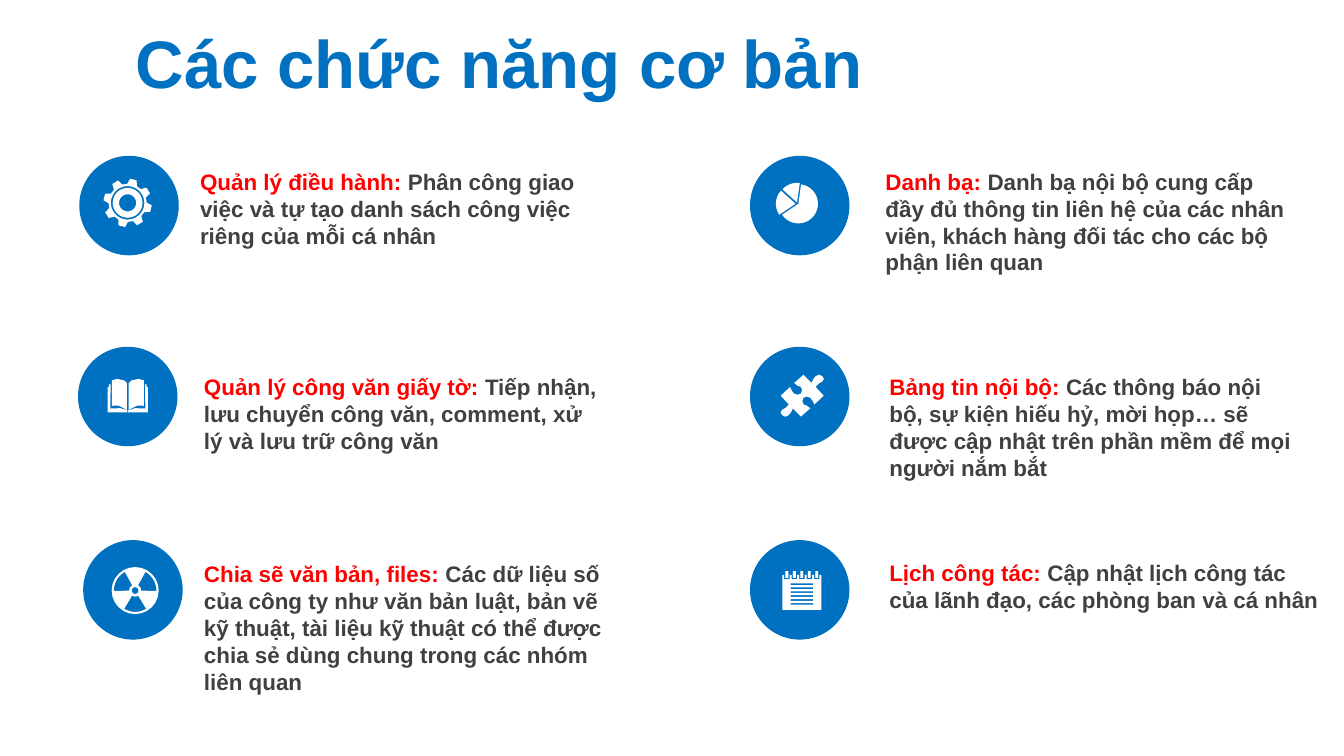
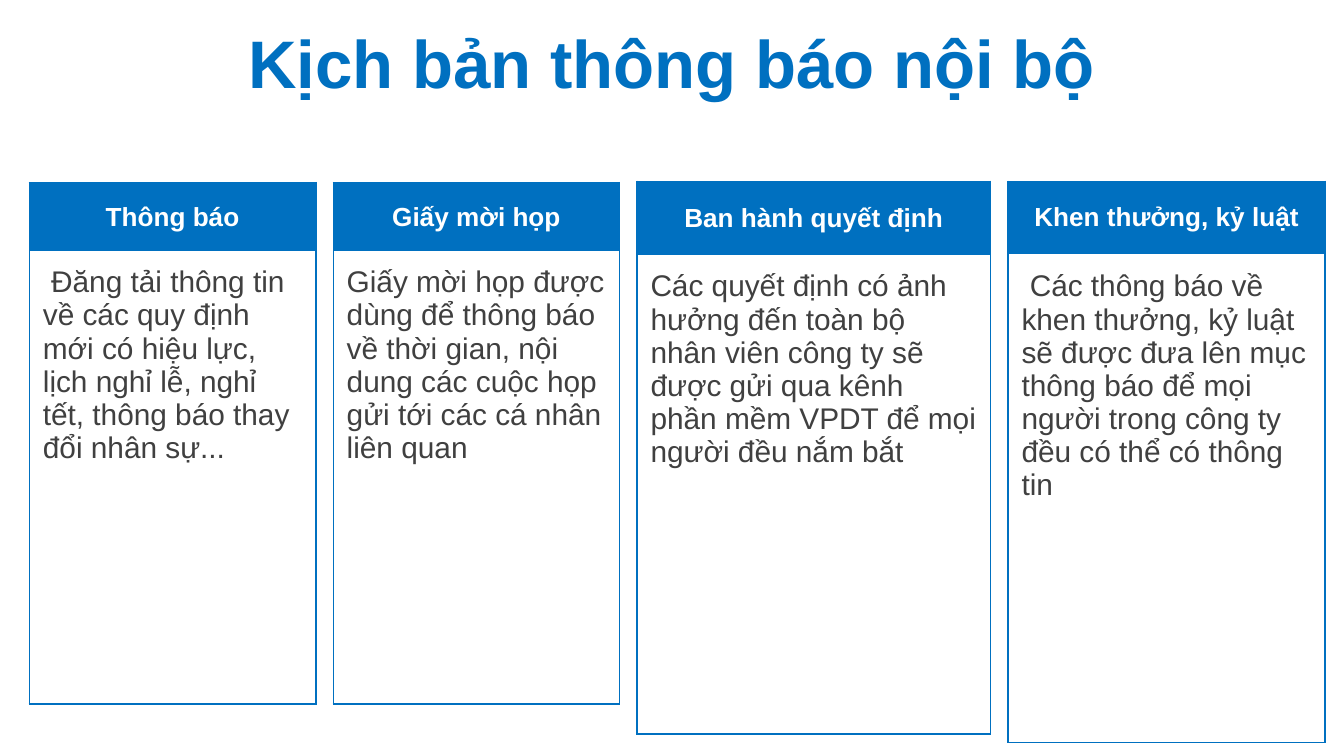
"""Build two slides: the basic functions and the internal notice scenarios."""
from dataclasses import dataclass
from math import cos, radians, sin

from lxml import etree
from pptx import Presentation
from pptx.dml.color import RGBColor
from pptx.enum import shapes, text
from pptx.oxml import ns
from pptx.util import Pt

WIDTH, HEIGHT = 720, 405
BLUE, RED, GREY, WHITE = "0070C0", "FF0000", "404040", "FFFFFF"
FONT = "Arial"
TITLE = dict(size=Pt(36), bold=True, color=BLUE)
LABEL = dict(size=Pt(12), bold=True, color=RED)
DETAIL = dict(size=Pt(12), bold=True, color=GREY)
HEADER = dict(size=Pt(14), bold=True, color=WHITE)
CONTENT = dict(size=Pt(16), bold=False, color=GREY)
DISC = 53.3
DISC_TOPS = (83.5, 185.8, 289.4)
BOARD_LEFT, BOARD_GAP = 15.8, 9.35

Point = tuple[float, float]
Contour = list[Point]


@dataclass
class Feature:
    """A disc with an icon, and the text beside it."""
    row: int
    disc_left: float
    box: tuple[float, float, float, float]
    label: str
    detail: str
    icon: list[Contour]
    icon_center: Point


@dataclass
class Board:
    """A one-column table: a header, a content row and empty rows."""
    top: float
    width: float
    height: float
    rows: tuple[float, ...]
    header: str
    content: str


def rgb(value: str) -> RGBColor:
    """Turn a hex string into a colour."""
    return RGBColor.from_string(value)


def apply(target, values: dict) -> None:
    """Set each named attribute of the target."""
    for name, value in values.items():
        setattr(target, name, value)


def add_run(p, words: str, style: dict) -> None:
    """Add a run and apply its format values."""
    r = p.add_run()
    r.text = words
    values = dict(style, name=FONT)
    r.font.color.rgb = rgb(values.pop("color"))
    apply(r.font, values)


def add_text(s, box: tuple, runs: list[tuple[str, dict]], frame: dict, para: dict) -> None:
    """Add a text box with one paragraph."""
    tf = s.shapes.add_textbox(*map(Pt, box)).text_frame
    p = tf.paragraphs[0]
    apply(tf, dict(frame, word_wrap=True))
    apply(p, para)
    for words, style in runs:
        add_run(p, words, style)


def add_title(s, left: float, words: str, align) -> None:
    """Add the slide title, running to the right edge."""
    frame = dict(vertical_anchor=text.MSO_ANCHOR.MIDDLE, margin_top=0, margin_bottom=0)
    para = dict(alignment=align, space_before=Pt(4))
    add_text(s, (left, 10.1, WIDTH - left, 45.4), [(words, TITLE)], frame, para)


def paint(sp, color: str) -> None:
    """Give a shape a plain fill without line or shadow."""
    sp.shadow.inherit = False
    sp.fill.solid()
    sp.fill.fore_color.rgb = rgb(color)
    sp.line.fill.background()


def polar(r: float, angle: float) -> Point:
    """Return the point at a radius and an angle in degrees."""
    return r * cos(radians(angle)), r * sin(radians(angle))


def move(contour: Contour, dx: float, dy: float) -> Contour:
    """Return the contour shifted by an offset."""
    return [(x + dx, y + dy) for x, y in contour]


def arc(r: float, start: float, end: float, steps: int = 24) -> Contour:
    """Return points along an arc around the origin."""
    return [polar(r, start + (end - start) * i / steps) for i in range(steps + 1)]


def circle(r: float) -> Contour:
    """Return a full circle around the origin."""
    return arc(r, 0, 360)


def rect(x: float, y: float, w: float, h: float) -> Contour:
    """Return a rectangle."""
    return [(x, y), (x + w, y), (x + w, y + h), (x, y + h)]


def gear() -> list[Contour]:
    """Return a gear with eight teeth and a ring."""
    root, tip, teeth = 10.2, 13, 8
    tooth = ((root, -15), (tip, -8), (tip, 8), (root, 15))
    outline = [polar(r, k * 360 / teeth - 76 + turn) for k in range(teeth) for r, turn in tooth]
    return [outline, circle(9), circle(8), circle(4.6)]


def pie() -> list[Contour]:
    """Return a pie of three slices, each with its own apex."""
    slices = ((0.7, 0.7, -82, 146), (0, 0, -138, -82), (-0.8, 0.7, 146, 222))
    return [move([(0, 0)] + arc(10.5, start, end), dx, dy) for dx, dy, start, end in slices]


def trefoil() -> list[Contour]:
    """Return a disc with three blades cut out of it."""
    inner, outer, half = 3.2, 11.4, 31
    blades = [arc(outer, mid - half, mid + half) + arc(inner, mid + half, mid - half)
              for mid in (90, 210, 330)]
    return [circle(12.6), circle(1.8)] + blades


def book() -> list[Contour]:
    """Return an open book whose left half mirrors the right."""
    page = [(0.5, -6.8), (2, -8.2), (5.8, -9), (8.6, -8.2), (8.6, 5.4), (5, 5.3), (0.5, 7.6)]
    cover = [(9.2, -6), (10.1, -6), (10.1, -4.6), (10.8, -4.6), (10.8, 9),
             (0.2, 9), (0.2, 7.9), (4, 6.7), (9.4, 6.9)]
    return [[(side * x, y) for x, y in part] for side in (-1, 1) for part in (page, cover)]


def puzzle() -> list[Contour]:
    """Return a puzzle piece: a half outline, then the same half turned around."""
    corner = [(11.5, 0), (6.5, 4.7)]
    socket = [(5.4, 2.4), (4.3, 1.1), (2.5, 0.5), (0.7, 1.1), (0.1, 2.9), (0.7, 4.7), (2.6, 5.4)]
    edge = [(4.3, 6.8), (-0.7, 11.2), (-5, 6.8)]
    knob = [(-5.9, 8.8), (-7.2, 10.4), (-9, 11.3), (-10.8, 10.4), (-11.6, 9),
            (-10.8, 7.6), (-9, 6.6), (-7.2, 4.7)]
    half = corner + socket + edge + knob
    return [half + [(-x, -y) for x, y in half]]


def notepad() -> list[Contour]:
    """Return a ruled pad with five rings."""
    rules = [rect(-6, -3.8 + 2.1 * i, 12, 0.9) for i in range(6)]
    ring_centers = [4 * i for i in range(-2, 3)]
    notches = [rect(x - 1.45, -8.4, 2.9, 2.3) for x in ring_centers]
    rings = [rect(x - 0.75, -10.4, 1.5, 3.6) for x in ring_centers]
    return [rect(-10.4, -8.4, 20.8, 18.8)] + rules + notches + rings


def add_icon(s, contours: list[Contour], center: Point) -> None:
    """Draw contours as one white freeform around a center."""
    placed = [[(Pt(x), Pt(y)) for x, y in move(c, *center)] for c in contours]
    builder = s.shapes.build_freeform(*placed[0][0], scale=1.0)
    for start, *others in placed:
        if start != placed[0][0]:
            builder.move_to(*start)
        builder.add_line_segments(others, close=True)
    paint(builder.convert_to_shape(), WHITE)


def add_feature(s, f: Feature) -> None:
    """Draw a disc, its text and its icon."""
    box = (f.disc_left, DISC_TOPS[f.row], DISC, DISC)
    paint(s.shapes.add_shape(shapes.MSO_SHAPE.OVAL, *map(Pt, box)), BLUE)
    runs = [(f.label + " ", LABEL), (f.detail, DETAIL)]
    add_text(s, f.box, runs, dict(auto_size=text.MSO_AUTO_SIZE.SHAPE_TO_FIT_TEXT), {})
    add_icon(s, f.icon, f.icon_center)


def add_borders(cell, visible: str) -> None:
    """Draw blue borders on the visible sides and none on the others."""
    for side in "LRTB":
        ln = etree.SubElement(cell._tc.get_or_add_tcPr(), ns.qn(f"a:ln{side}"), w=str(Pt(1)))
        if side in visible:
            fill = etree.SubElement(ln, ns.qn("a:solidFill"))
            etree.SubElement(fill, ns.qn("a:srgbClr"), val=BLUE)
        else:
            etree.SubElement(ln, ns.qn("a:noFill"))


def size_empty(p, points: int) -> None:
    """Set the font and size of an empty paragraph."""
    end = etree.SubElement(p._p, ns.qn("a:endParaRPr"), sz=str(points * 100))
    etree.SubElement(end, ns.qn("a:latin"), typeface=FONT)


def add_board(s, left: float, b: Board) -> None:
    """Draw one board as a table."""
    box = (left, b.top, b.width, b.height)
    frame = s.shapes.add_table(len(b.rows), 1, *map(Pt, box))
    table = frame.table
    apply(table, dict(first_row=False, horz_banding=False))
    sides = ["LRT"] + ["LR"] * (len(b.rows) - 2) + ["LRB"]
    for i, (height, visible) in enumerate(zip(b.rows, sides)):
        table.rows[i].height = Pt(height)
        cell = table.cell(i, 0)
        cell.vertical_anchor = text.MSO_ANCHOR.MIDDLE
        add_borders(cell, visible)
        cell.fill.background()
        p = cell.text_frame.paragraphs[0]
        if i == 0:
            cell.fill.solid()
            cell.fill.fore_color.rgb = rgb(BLUE)
            p.alignment = text.PP_ALIGN.CENTER
            add_run(p, b.header, HEADER)
        elif i == 1:
            add_run(p, b.content, CONTENT)
        else:
            size_empty(p, 14)
    frame.height = Pt(b.height)


FEATURES = [
    Feature(0, 42.5, (100.1, 86.4, 231.8, 51.1), "Quản lý điều hành:",
            "Phân công giao việc và tự tạo danh sách công việc riêng của mỗi cá nhân",
            gear(), (68.4, 108.7)),
    Feature(0, 401.8, (467.3, 86.4, 233.3, 65.5), "Danh bạ:",
            "Danh bạ nội bộ cung cấp đầy đủ thông tin liên hệ của các nhân viên, "
            "khách hàng đối tác cho các bộ phận liên quan", pie(), (427, 108.5)),
    Feature(1, 41.8, (102.2, 196.6, 229.7, 51.1), "Quản lý công văn giấy tờ:",
            "Tiếp nhận, lưu chuyển công văn, comment, xử lý và lưu trữ công văn",
            book(), (68.5, 212)),
    Feature(1, 401.8, (469.4, 196.6, 231.1, 65.5), "Bảng tin nội bộ:",
            "Các thông báo nội bộ, sự kiện hiếu hỷ, mời họp… sẽ được cập nhật "
            "trên phần mềm để mọi người nắm bắt", puzzle(), (429.8, 212)),
    Feature(2, 44.6, (102.2, 296.6, 229.7, 79.9), "Chia sẽ văn bản, files:",
            "Các dữ liệu số của công ty như văn bản luật, bản vẽ kỹ thuật, tài liệu "
            "kỹ thuật có thể được chia sẻ dùng chung trong các nhóm liên quan",
            trefoil(), (72.4, 316.4)),
    Feature(2, 401.8, (469.4, 295.9, 247, 51.1), "Lịch công tác:",
            "Cập nhật lịch công tác của lãnh đạo, các phòng ban và cá nhân",
            notepad(), (429.6, 316.4)),
]

NARROW_ROWS = (36.7, 69.8, 15.1, 12.2, 12.2, 12.2, 13)
BOARDS = [
    Board(97.9, 153.4, 267.1, NARROW_ROWS, "Thông báo",
          " Đăng tải thông tin về các quy định mới có hiệu lực, lịch nghỉ lễ, "
          "nghỉ tết, thông báo thay đổi nhân sự..."),
    Board(97.9, 153.4, 267.1, NARROW_ROWS, "Giấy mời họp",
          "Giấy mời họp được dùng để thông báo về thời gian, nội dung các cuộc họp "
          "gửi tới các cá nhân liên quan"),
    Board(97.2, 189.4, 285, (39.6, 110.9, 28.1, 23, 23, 23, 33.8), "Ban hành quyết định",
          "Các quyết định có ảnh hưởng đến toàn bộ nhân viên công ty sẽ được gửi "
          "qua kênh phần mềm VPDT để mọi người đều nắm bắt"),
    Board(97.2, 169.9, 287.3, (38.9, 76.3, 14.4, 11.5, 11.5, 11.5, 12.2),
          "Khen thưởng, kỷ luật",
          " Các thông báo về khen thưởng, kỷ luật sẽ được đưa lên mục thông báo "
          "để mọi người trong công ty đều có thể có thông tin"),
]


def main() -> None:
    """Build and save the presentation."""
    prs = Presentation()
    prs.slide_width, prs.slide_height = Pt(WIDTH), Pt(HEIGHT)
    blank = prs.slide_layouts[6]
    s = prs.slides.add_slide(blank)
    add_title(s, 65.5, "Các chức năng cơ bản", text.PP_ALIGN.LEFT)
    for feature in FEATURES:
        add_feature(s, feature)
    s = prs.slides.add_slide(blank)
    add_title(s, 0, "Kịch bản thông báo nội bộ", text.PP_ALIGN.CENTER)
    left = BOARD_LEFT
    for board in BOARDS:
        add_board(s, left, board)
        left += board.width + BOARD_GAP
    prs.save("out.pptx")


if __name__ == "__main__":
    main()
